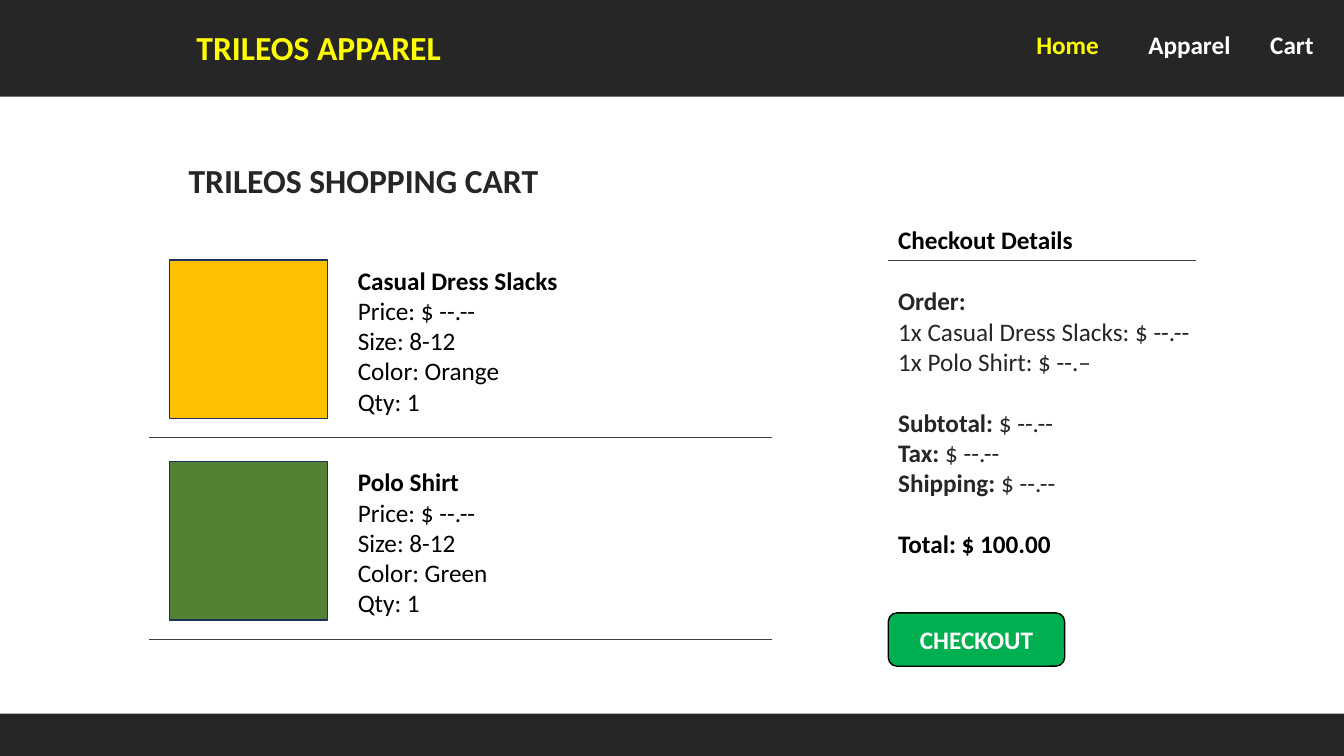
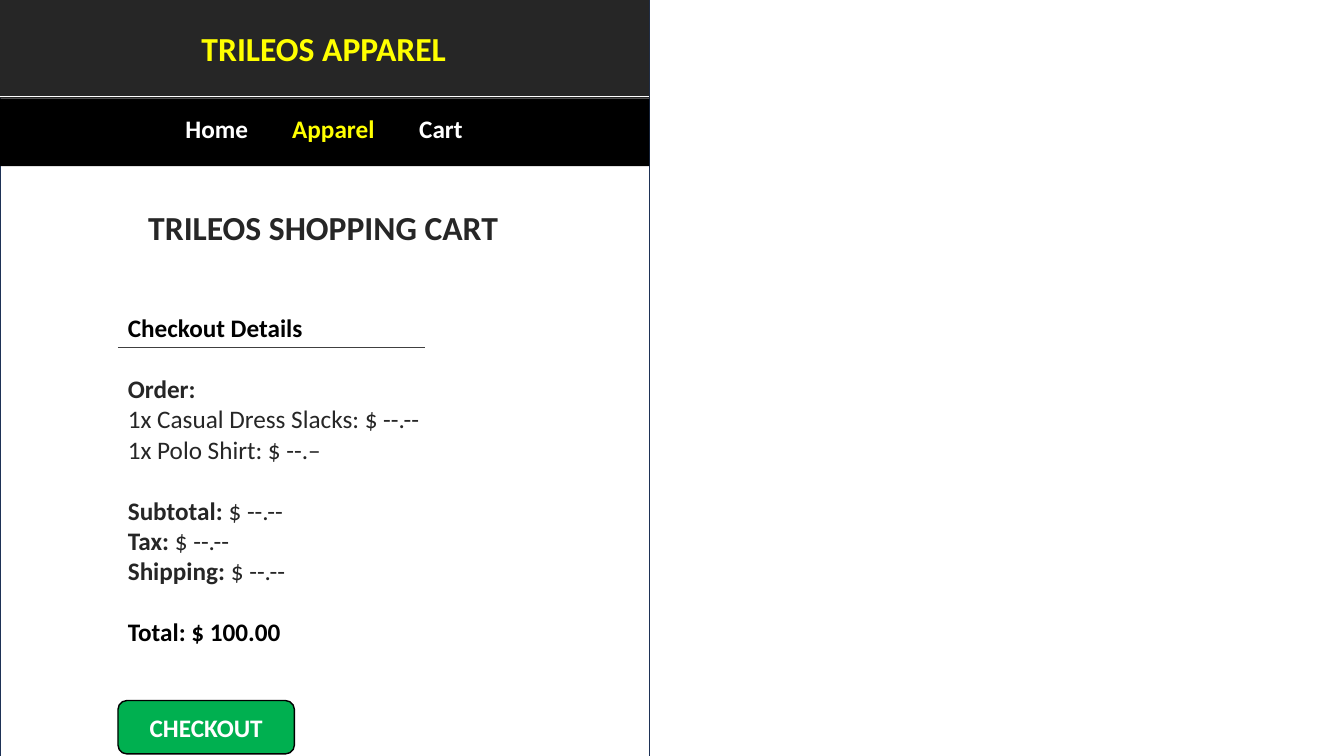
from lxml.etree import SubElement
from pptx import Presentation
from pptx.dml.color import RGBColor
from pptx.enum.shapes import MSO_CONNECTOR, MSO_SHAPE
from pptx.enum.text import MSO_ANCHOR, MSO_AUTO_SIZE, PP_ALIGN
from pptx.oxml.ns import qn
from pptx.util import Inches, Pt

COLORS = {
    "band": "262626", "black": "000000", "white": "FFFFFF",
    "accent": "FFFF00", "rule": "404040", "outline": "1E3256",
    "button": "00B050", "orange": "FFC000", "green": "548235",
}
FONT = "Calibri"
BODY, HEADING = 18, 24
LINE_GAP = 22
WIDTH, HEIGHT = 13.33, 7.5

PRODUCTS = [
    ("Casual Dress Slacks", "Orange", "orange"),
    ("Polo Shirt", "Green", "green"),
]
ORDER = [
    "1x Casual Dress Slacks: $ --.--",
    "1x Polo Shirt: $ --.–",
]
CHARGES = ["Subtotal: ", "Tax: ", "Shipping: "]


def rgb(name):
    return RGBColor.from_string(COLORS[name])


class Deck:
    """Hold the shop's style and the current slide, and draw its elements."""

    def __init__(self):
        self.prs = Presentation()
        self.prs.slide_width = Inches(WIDTH)
        self.prs.slide_height = Inches(HEIGHT)
        self.s = None

    def new_slide(self):
        self.s = self.prs.slides.add_slide(self.prs.slide_layouts[5])

    def style(self, r, size, color, bold):
        r.font.name = FONT
        r.font.size = Pt(size)
        r.font.bold = bold
        r.font.color.rgb = rgb(color)

    def title(self, x, y):
        sp = self.s.shapes.title
        sp.left, sp.top = Inches(x), Inches(y)
        sp.width, sp.height = Inches(3.7), Inches(0.5)
        tf = sp.text_frame
        tf.text = "TRILEOS SHOPPING CART"
        tf.word_wrap = False
        tf.auto_size = MSO_AUTO_SIZE.NONE
        tf.vertical_anchor = MSO_ANCHOR.TOP
        p = tf.paragraphs[0]
        p.alignment = PP_ALIGN.LEFT
        self.style(p.runs[0], HEADING, "band", True)
        sp.element.getparent().append(sp.element)

    def box(self, x, y, w, h, fill, line=None, kind=MSO_SHAPE.RECTANGLE):
        sp = self.s.shapes.add_shape(kind, Inches(x), Inches(y), Inches(w), Inches(h))
        sp.shadow.inherit = False
        sp.fill.solid()
        sp.fill.fore_color.rgb = rgb(fill)
        if line:
            sp.line.color.rgb = rgb(line)
            sp.line.width = Pt(1)
        else:
            sp.line.fill.background()
        return sp

    def rule(self, x, y, w, color="rule"):
        cn = self.s.shapes.add_connector(
            MSO_CONNECTOR.STRAIGHT, Inches(x), Inches(y), Inches(x + w), Inches(y))
        cn.line.color.rgb = rgb(color)
        cn.line.width = Pt(0.5)
        SubElement(cn.element.spPr, qn("a:effectLst"))

    def label(self, text, x, y, w, h, size, color):
        tf = self.s.shapes.add_textbox(
            Inches(x), Inches(y), Inches(w), Inches(h)).text_frame
        tf.text = text
        tf.word_wrap = False
        self.style(tf.paragraphs[0].runs[0], size, color, True)

    def lines(self, x, y, w, h, rows):
        tf = self.s.shapes.add_textbox(
            Inches(x), Inches(y), Inches(w), Inches(h)).text_frame
        tf.word_wrap = True
        for i, (bold, plain, color, gap) in enumerate(rows):
            p = tf.add_paragraph() if i else tf.paragraphs[0]
            p.space_before = Pt(LINE_GAP if gap else 0)
            for text, is_bold in ((bold, True), (plain, False)):
                if text:
                    r = p.add_run()
                    r.text = text
                    self.style(r, BODY, color, is_bold)

    def brand(self, x, y):
        self.label("TRILEOS APPAREL", x, y, 2.65, 0.5, HEADING, "accent")

    def nav(self, lefts, y, active):
        links = zip(("Home", "Apparel", "Cart"), lefts, (0.82, 1.02, 0.64))
        for text, x, w in links:
            color = "accent" if text == active else "white"
            self.label(text, x, y, w, 0.4, BODY, color)

    def product(self, y, name, color_name, fill):
        self.box(1.68, y, 1.57, 1.57, fill, "outline")
        details = ["Price: $ --.--", "Size: 8-12", f"Color: {color_name}", "Qty: 1"]
        rows = [(name, "", "black", False)]
        rows += [("", text, "black", False) for text in details]
        self.lines(3.45, y, 2.42, 1.62, rows)
        self.rule(1.48, y + 1.76, 6.18)

    def checkout(self, x, y):
        rows = [("Checkout Details", "", "black", False),
                ("Order:", "", "band", True)]
        rows += [("", text, "band", False) for text in ORDER]
        rows += [(text, "$ --.--", "band", i == 0) for i, text in enumerate(CHARGES)]
        rows.append(("Total: $ 100.00", "", "black", True))
        self.lines(x, y, 3.27, 3.74, rows)
        self.rule(x, y + 0.4, 3.05)
        sp = self.box(x, y + 3.9, 1.75, 0.53, "button", "black",
                      MSO_SHAPE.ROUNDED_RECTANGLE)
        tf = sp.text_frame
        tf.text = "CHECKOUT"
        tf.vertical_anchor = MSO_ANCHOR.MIDDLE
        p = tf.paragraphs[0]
        p.alignment = PP_ALIGN.CENTER
        self.style(p.runs[0], BODY, "white", True)


def desktop_cart(deck):
    deck.new_slide()
    deck.box(0, 0, WIDTH, 0.96, "band")
    deck.nav((10.18, 11.29, 12.5), 0.24, "Home")
    deck.brand(1.85, 0.22)
    deck.box(0, 7.08, WIDTH, 0.42, "band")
    for i, product in enumerate(PRODUCTS):
        deck.product(2.58 + 2 * i, *product)
    deck.checkout(8.81, 2.18)
    deck.title(1.77, 1.54)


def mobile_cart(deck):
    width = 6.44
    deck.new_slide()
    deck.box(0, 0, width, HEIGHT + 0.1, "white", "outline")
    deck.box(0, 0.98, width, 0.67, "black")
    deck.box(0, 0, width, 0.98, "band")
    deck.nav((1.74, 2.8, 4.06), 1.08, "Apparel")
    deck.brand(1.9, 0.23)
    deck.rule(0, 0.96, width, "white")
    deck.checkout(1.17, 3.05)
    deck.title(1.37, 2)


def main():
    deck = Deck()
    desktop_cart(deck)
    mobile_cart(deck)
    deck.prs.save("out.pptx")


if __name__ == "__main__":
    main()
